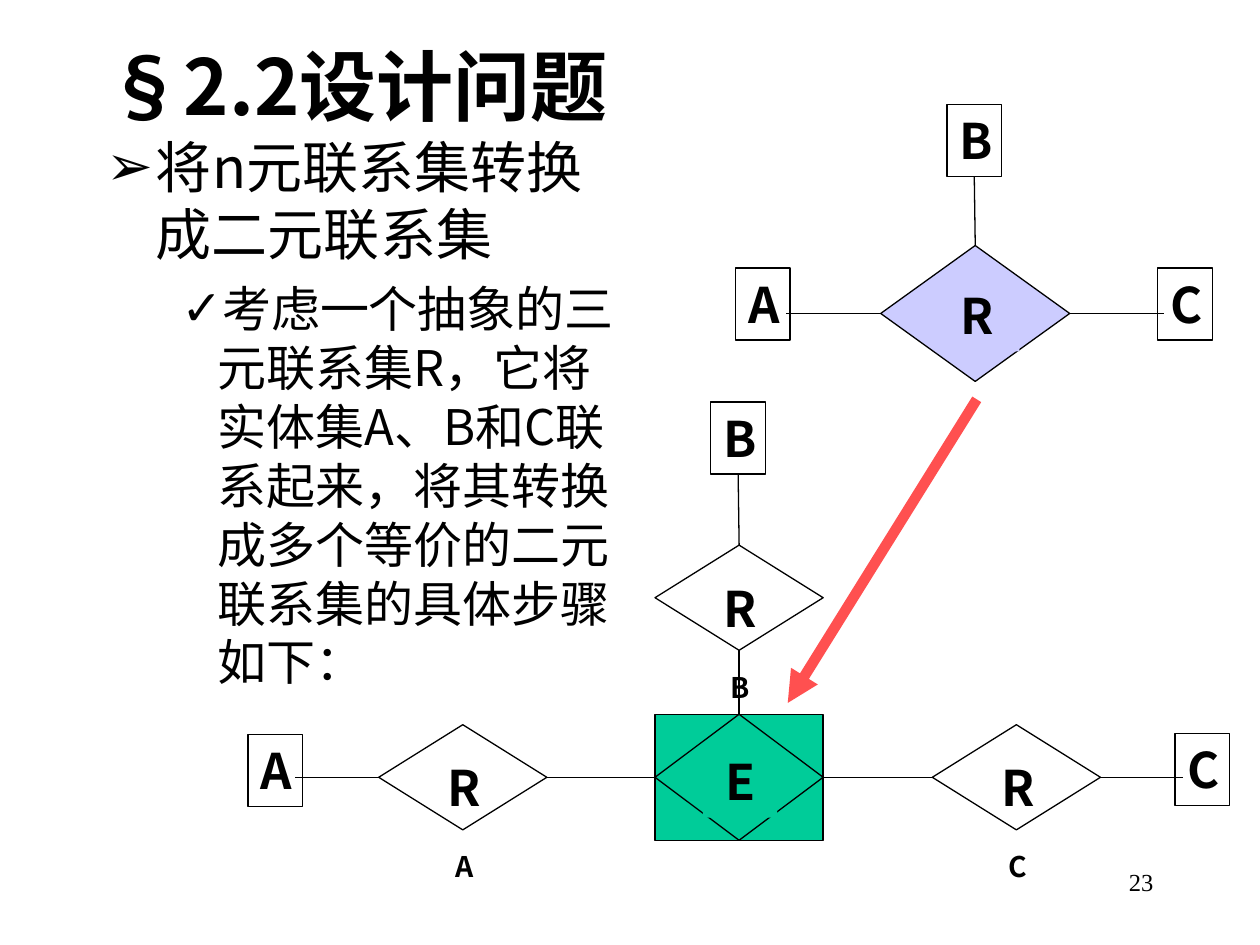
from dataclasses import dataclass
from enum import IntEnum
from typing import NamedTuple, Optional, Union

from lxml.etree import SubElement
from pptx import Presentation
from pptx.dml.color import RGBColor
from pptx.enum.shapes import MSO_CONNECTOR, MSO_SHAPE
from pptx.enum.text import MSO_ANCHOR, MSO_AUTO_SIZE, PP_ALIGN
from pptx.oxml.ns import qn
from pptx.shapes.autoshape import Shape
from pptx.shapes.connector import Connector
from pptx.util import Cm, Pt


@dataclass(frozen=True)
class Theme:
    ink: RGBColor = RGBColor(0, 0, 0)
    paper: RGBColor = RGBColor(0xFF, 0xFF, 0xFF)
    ternary: RGBColor = RGBColor(0xCC, 0xCC, 0xFF)
    new_entity: RGBColor = RGBColor(0x00, 0xCC, 0x99)
    arrow: RGBColor = RGBColor(0xFF, 0x50, 0x50)
    font: str = "Noto Sans CJK SC"
    number_font: str = "Times New Roman"
    title: int = 44
    topic: int = 32
    detail: int = 28
    node: int = 28
    number: int = 14
    outline: float = 0.75
    arrow_width: float = 6


THEME = Theme()


class Side(IntEnum):
    TOP = 0
    LEFT = 1
    BOTTOM = 2
    RIGHT = 3


class Point(NamedTuple):
    x: float
    y: float


class Size(NamedTuple):
    width: float
    height: float


class Joint(NamedTuple):
    shape: Shape
    side: Side


@dataclass(frozen=True)
class Bullet:
    text: str
    mark: str
    size: int
    level: int
    margin: float
    hanging: float
    before: float


ENTITY = Size(1.1, 1.45)
TERNARY = Size(3.81, 2.74)
BINARY = Size(3.39, 2.12)
NEW_ENTITY = Size(3.39, 2.54)

BULLETS = (
    Bullet("将n元联系集转换成二元联系集", "➢", THEME.topic, 0, 0.99, 0.99, 8),
    Bullet("考虑一个抽象的三元联系集R，它将实体集A、B和C联系起来，"
           "将其转换成多个等价的二元联系集的具体步骤如下：",
           "✓", THEME.detail, 1, 2.24, 0.74, 7),
)


def box(center: Point, size: Size) -> tuple:
    return (Cm(center.x - size.width / 2), Cm(center.y - size.height / 2),
            Cm(size.width), Cm(size.height))


def place(shape, left: float, top: float, width: float, height: float) -> None:
    shape.left, shape.top = Cm(left), Cm(top)
    shape.width, shape.height = Cm(width), Cm(height)


def style_run(run, size: int, bold: bool = False, font: str = THEME.font) -> None:
    run.font.size, run.font.bold, run.font.name = Pt(size), bold, font
    run.font.color.rgb = THEME.ink
    SubElement(run.font._element, qn("a:ea"), typeface=font)


def add_outline(shapes, kind: MSO_SHAPE, center: Point, size: Size,
                fill: Optional[RGBColor] = None) -> Shape:
    shape = shapes.add_shape(kind, *box(center, size))
    shape.shadow.inherit = False
    if fill is None:
        shape.fill.background()
    else:
        shape.fill.solid()
        shape.fill.fore_color.rgb = fill
    shape.line.color.rgb = THEME.ink
    shape.line.width = Pt(THEME.outline)
    return shape


def write_label(shape: Shape, name: str, subscript: str = "", wrap: bool = True) -> None:
    frame = shape.text_frame
    frame.word_wrap = wrap
    frame.auto_size = MSO_AUTO_SIZE.SHAPE_TO_FIT_TEXT
    frame.vertical_anchor = MSO_ANCHOR.TOP
    frame.text = name
    paragraph = frame.paragraphs[0]
    paragraph.alignment = PP_ALIGN.CENTER
    paragraph.space_before = Pt(17.5)
    if subscript:
        lowered = paragraph.add_run()
        lowered.text = subscript
        lowered.font._element.set("baseline", "-25000")
    for run in paragraph.runs:
        style_run(run, THEME.node, bold=True)


def add_entity(shapes, name: str, center: Point) -> Shape:
    entity = add_outline(shapes, MSO_SHAPE.RECTANGLE, center, ENTITY)
    write_label(entity, name, wrap=False)
    return entity


def add_label(shapes, name: str, center: Point, size: Size,
              fill: Optional[RGBColor] = None, subscript: str = "") -> None:
    label = shapes.add_textbox(*box(center, size))
    if fill is not None:
        label.fill.solid()
        label.fill.fore_color.rgb = fill
    write_label(label, name, subscript)


def add_binary(shapes, subscript: str, center: Point) -> Shape:
    """Draw a relationship diamond between an entity and E."""
    diamond = add_outline(shapes, MSO_SHAPE.DIAMOND, center, BINARY, THEME.paper)
    add_label(shapes, "R", Point(center.x + 0.03, center.y + 0.28), Size(1.5, 1.6),
              subscript=subscript)
    return diamond


def add_line(shapes, start: Point, end: Point, color: RGBColor = THEME.ink,
             width: float = THEME.outline) -> Connector:
    line = shapes.add_connector(MSO_CONNECTOR.STRAIGHT, Cm(start.x), Cm(start.y),
                                Cm(end.x), Cm(end.y))
    line.line.color.rgb = color
    line.line.width = Pt(width)
    SubElement(line._element.spPr, qn("a:effectLst"))
    return line


def link(shapes, start: Joint, end: Union[Joint, Point]) -> None:
    free_end = end if isinstance(end, Point) else Point(0, 0)
    line = add_line(shapes, free_end, free_end)
    line.begin_connect(*start)
    if isinstance(end, Joint):
        line.end_connect(*end)


def draw_ternary(shapes) -> None:
    center = Point(19.66, 6.32)
    add_entity(shapes, "A", Point(15.38, 6.13))
    add_entity(shapes, "C", Point(23.89, 6.13))
    b = add_entity(shapes, "B", Point(19.64, 2.83))
    r = add_outline(shapes, MSO_SHAPE.DIAMOND, center, TERNARY, THEME.ternary)
    add_label(shapes, "R", Point(19.7, 6.36), Size(1.7, 1.45), THEME.ternary)
    link(shapes, Joint(r, Side.LEFT), Point(15.85, center.y))
    link(shapes, Joint(r, Side.RIGHT), Point(23.47, center.y))
    link(shapes, Joint(r, Side.TOP), Joint(b, Side.BOTTOM))


def draw_binaries(shapes) -> None:
    center = Point(14.9, 15.67)
    for kind in (MSO_SHAPE.RECTANGLE, MSO_SHAPE.DIAMOND):
        e = add_outline(shapes, kind, center, NEW_ENTITY, THEME.new_entity)
    add_label(shapes, "E", Point(14.92, 15.76), Size(1.5, 1.45), THEME.new_entity)

    add_entity(shapes, "A", Point(5.55, 15.53))
    b = add_entity(shapes, "B", Point(14.88, 8.83))
    add_entity(shapes, "C", Point(24.24, 15.51))
    r_a = add_binary(shapes, "A", Point(9.33, center.y))
    r_b = add_binary(shapes, "B", Point(center.x, 12.05))
    r_c = add_binary(shapes, "C", Point(20.49, center.y))

    link(shapes, Joint(r_a, Side.LEFT), Point(5.94, center.y))
    link(shapes, Joint(r_a, Side.RIGHT), Joint(e, Side.LEFT))
    link(shapes, Joint(r_b, Side.TOP), Joint(b, Side.BOTTOM))
    link(shapes, Joint(r_b, Side.BOTTOM), Joint(e, Side.TOP))
    link(shapes, Joint(r_c, Side.LEFT), Joint(e, Side.RIGHT))
    link(shapes, Joint(r_c, Side.RIGHT), Point(23.85, center.y))


def write_title(title) -> None:
    place(title, 1.9, 0.43, 21.6, 2.54)
    frame = title.text_frame
    frame.text = "§2.2设计问题"
    frame.auto_size = MSO_AUTO_SIZE.NONE
    frame.vertical_anchor = MSO_ANCHOR.MIDDLE
    frame.paragraphs[0].alignment = PP_ALIGN.LEFT
    style_run(frame.paragraphs[0].runs[0], THEME.title, bold=True)


def write_bullets(body) -> None:
    place(body, 1.9, 2.54, 10.8, 14.4)
    frame = body.text_frame
    frame.text = "\n".join(bullet.text for bullet in BULLETS)
    frame.auto_size = MSO_AUTO_SIZE.NONE
    for paragraph, bullet in zip(frame.paragraphs, BULLETS):
        paragraph.level = bullet.level
        paragraph.space_before = Pt(bullet.before)
        properties = paragraph._p.get_or_add_pPr()
        properties.set("marL", str(Cm(bullet.margin)))
        properties.set("indent", str(-Cm(bullet.hanging)))
        SubElement(properties, qn("a:buChar"), char=bullet.mark)
        style_run(paragraph.runs[0], bullet.size)


def write_number(shapes) -> None:
    number = shapes.add_textbox(Cm(18.2), Cm(17.35), Cm(5.3), Cm(1.27))
    number.text_frame.word_wrap = True
    number.text_frame.text = "23"
    paragraph = number.text_frame.paragraphs[0]
    paragraph.alignment = PP_ALIGN.RIGHT
    paragraph.space_before = Pt(8.8)
    style_run(paragraph.runs[0], THEME.number, font=THEME.number_font)


def main() -> None:
    deck = Presentation()
    deck.slide_width, deck.slide_height = Cm(25.4), Cm(19.05)
    slide = deck.slides.add_slide(deck.slide_layouts[1])
    write_title(slide.shapes.title)
    write_bullets(slide.placeholders[1])
    write_number(slide.shapes)
    draw_ternary(slide.shapes.add_group_shape().shapes)
    draw_binaries(slide.shapes.add_group_shape().shapes)
    arrow = add_line(slide.shapes, Point(19.69, 8.05), Point(15.88, 14.17),
                     THEME.arrow, THEME.arrow_width)
    SubElement(arrow.line._get_or_add_ln(), qn("a:tailEnd"), type="triangle")
    deck.save("out.pptx")


if __name__ == "__main__":
    main()
